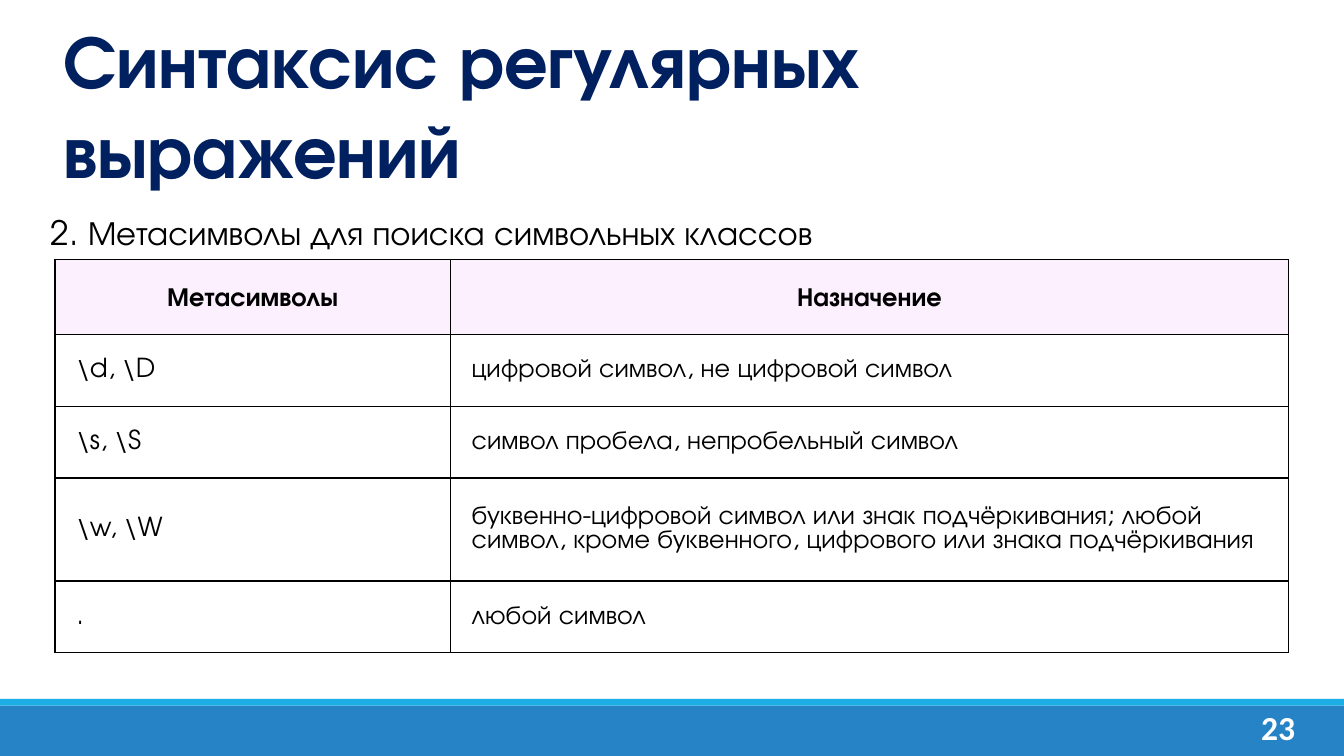
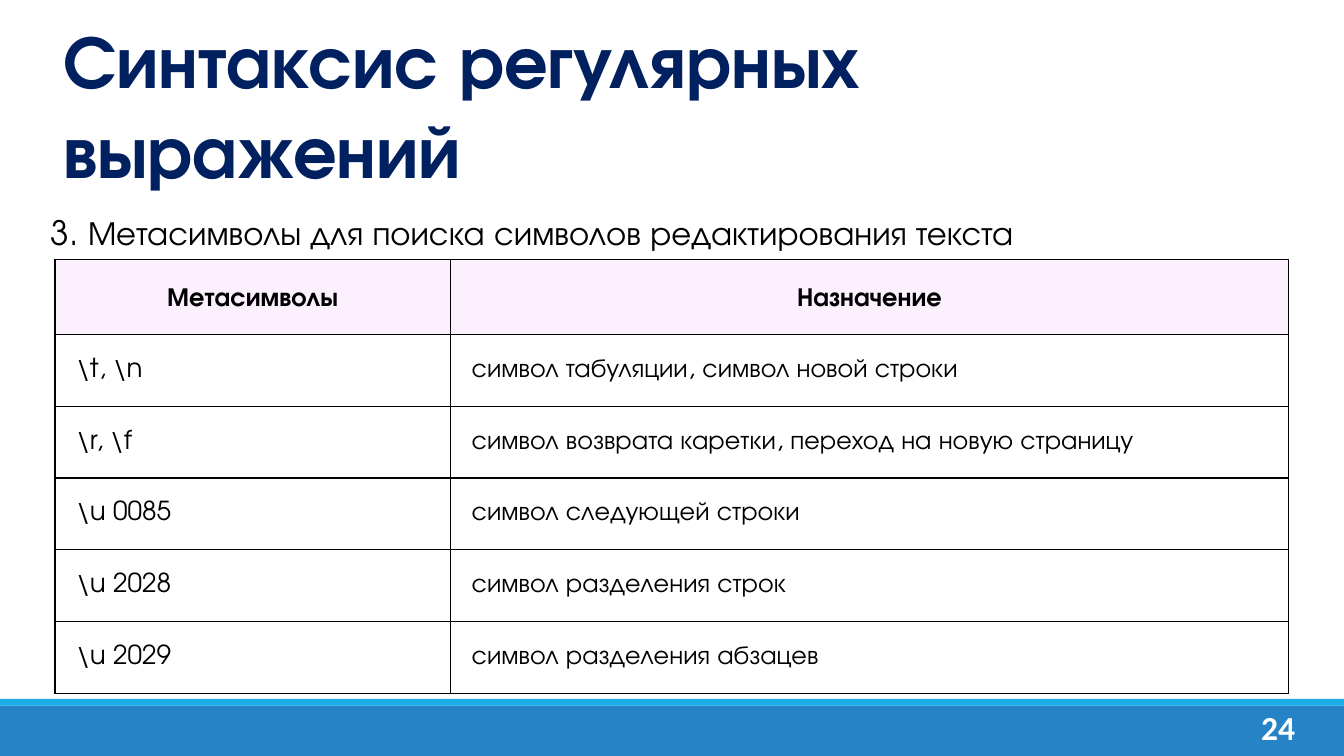
from lxml import etree
from pptx import Presentation
from pptx import util as u
from pptx.dml.color import RGBColor
from pptx.enum import shapes, text
from pptx.oxml import ns

COLORS = {
    "navy": "002060",
    "blue": "2683C6",
    "cyan": "1CADE4",
    "lilac": "FCF0FF",
    "white": "FFFFFF",
    "black": "000000",
}
FONT = "TeX Gyre Adventor"
NUMBER_FONT = "Calibri"
TITLE = "Синтаксис регулярных выражений"
HEADINGS = ("Метасимволы", "Назначение")

SLIDE_WIDTH = 10
SLIDE_HEIGHT = SLIDE_WIDTH * 9 / 16
TITLE_BOX = (0.37, 0.11, 9, 1.32)
SUBTITLE_BOX = (0.28, 1.43, 9.31, 0.5)
TABLE_BOX = (0.41, 1.93, 9.18)
FOOTER_BOX = (0, 5.2, SLIDE_WIDTH, SLIDE_HEIGHT - 5.2)
STRIPE_HEIGHT = 0.05
SYMBOL_WIDTH = 2.94
HEADER_HEIGHT, ROW_HEIGHT = 0.53, 0.51

TOPICS = [
    (23, "2. Метасимволы для поиска символьных классов", [
        (r"\d, \D", "цифровой символ, не цифровой символ"),
        (r"\s, \S", "символ пробела, непробельный символ"),
        (r"\w, \W", "буквенно-цифровой символ или знак подчёркивания; любой "
                    "символ, кроме буквенного, цифрового или знака подчёркивания"),
        (".", "любой символ"),
    ]),
    (24, "3. Метасимволы для поиска символов редактирования текста", [
        (r"\t, \n", "символ табуляции, символ новой строки"),
        (r"\r, \f", "символ возврата каретки, переход на новую страницу"),
        (r"\u 0085", "символ следующей строки"),
        (r"\u 2028", "символ разделения строк"),
        (r"\u 2029", "символ разделения абзацев"),
    ]),
]


def rgb(name):
    """Return a palette colour."""
    return RGBColor.from_string(COLORS[name])


def inches(box):
    """Convert a sequence of numbers to lengths."""
    return [u.Inches(value) for value in box]


def write(frame, words, size, color="black", bold=False, font=FONT,
          align=text.PP_ALIGN.LEFT, spacing=None):
    """Fill a text frame with one formatted paragraph and return it."""
    frame.text = words
    line = frame.paragraphs[0]
    line.alignment = align
    if spacing:
        line.line_spacing = spacing
    line.font.name, line.font.size, line.font.bold = font, u.Pt(size), bold
    line.font.color.rgb = rgb(color)
    return line


def add_title(slide, box):
    """Place and format the slide title."""
    title = slide.shapes.title
    title.left, title.top, title.width, title.height = inches(box)
    frame = title.text_frame
    frame.word_wrap = True
    frame.auto_size = text.MSO_AUTO_SIZE.NONE
    frame.vertical_anchor = text.MSO_ANCHOR.MIDDLE
    write(frame, TITLE, 40, "navy", bold=True)


def add_subtitle(slide, box, words):
    """Add the numbered subtitle above the table."""
    frame = slide.shapes.add_textbox(*inches(box)).text_frame
    frame.word_wrap = True
    frame.auto_size = text.MSO_AUTO_SIZE.SHAPE_TO_FIT_TEXT
    frame.margin_top = frame.margin_bottom = u.Inches(0.1)
    write(frame, words, 18, spacing=1.15).space_before = u.Pt(10)


def add_footer(slide, box, number):
    """Draw the footer band with its stripe and the slide number."""
    left, top, width, height = box
    bands = (
        ("blue", top + STRIPE_HEIGHT, height - STRIPE_HEIGHT),
        ("cyan", top, STRIPE_HEIGHT),
    )
    for color, band_top, band_height in bands:
        band = slide.shapes.add_shape(
            shapes.MSO_SHAPE.RECTANGLE, *inches((left, band_top, width, band_height)))
        band.shadow.inherit = False
        band.fill.solid()
        band.fill.fore_color.rgb = rgb(color)
        band.line.fill.background()
    frame = slide.shapes.add_textbox(
        *inches((left + width - 0.73, top + 0.01, 0.48, 0.3))).text_frame
    frame.word_wrap = True
    write(frame, str(number), 18, "white", bold=True, font=NUMBER_FONT,
          align=text.PP_ALIGN.CENTER)


def add_borders(cell):
    """Outline a table cell with thin black lines."""
    properties = cell._tc.get_or_add_tcPr()
    for side in ("a:lnL", "a:lnR", "a:lnT", "a:lnB"):
        border = etree.SubElement(properties, ns.qn(side), w=str(u.Pt(0.75)))
        fill = etree.SubElement(border, ns.qn("a:solidFill"))
        etree.SubElement(fill, ns.qn("a:srgbClr"), val=COLORS["black"])


def format_cell(cell, words, is_heading):
    """Write and style one table cell."""
    add_borders(cell)
    cell.fill.solid()
    cell.fill.fore_color.rgb = rgb("lilac" if is_heading else "white")
    cell.vertical_anchor = text.MSO_ANCHOR.MIDDLE
    cell.margin_left = cell.margin_right = u.Inches(0.16)
    cell.margin_top = u.Inches(0.15)
    cell.margin_bottom = u.Inches(0.14 if is_heading else 0.15)
    if is_heading:
        write(cell.text_frame, words, 14, bold=True,
              align=text.PP_ALIGN.CENTER, spacing=1.15)
    else:
        write(cell.text_frame, words, 14)


def add_symbol_table(slide, box, entries):
    """Add the table of metacharacters and their meanings."""
    left, top, width = box
    rows = [HEADINGS, *entries]
    height = HEADER_HEIGHT + ROW_HEIGHT * len(entries)
    table = slide.shapes.add_table(
        len(rows), len(HEADINGS), *inches((left, top, width, height))).table
    table.first_row = table.horz_banding = False
    for column, size in zip(table.columns, (SYMBOL_WIDTH, width - SYMBOL_WIDTH)):
        column.width = u.Inches(size)
    for index, row in enumerate(rows):
        table.rows[index].height = u.Inches(ROW_HEIGHT if index else HEADER_HEIGHT)
        for cell, words in zip(table.rows[index].cells, row):
            format_cell(cell, words, index == 0)


def add_topic_slide(deck, number, subtitle, entries):
    """Build one slide about a group of metacharacters."""
    slide = deck.slides.add_slide(deck.slide_layouts[5])
    add_footer(slide, FOOTER_BOX, number)
    add_title(slide, TITLE_BOX)
    add_subtitle(slide, SUBTITLE_BOX, subtitle)
    add_symbol_table(slide, TABLE_BOX, entries)


def main():
    """Build and save the deck."""
    deck = Presentation()
    deck.slide_width, deck.slide_height = inches((SLIDE_WIDTH, SLIDE_HEIGHT))
    for topic in TOPICS:
        add_topic_slide(deck, *topic)
    deck.save("out.pptx")


if __name__ == "__main__":
    main()
